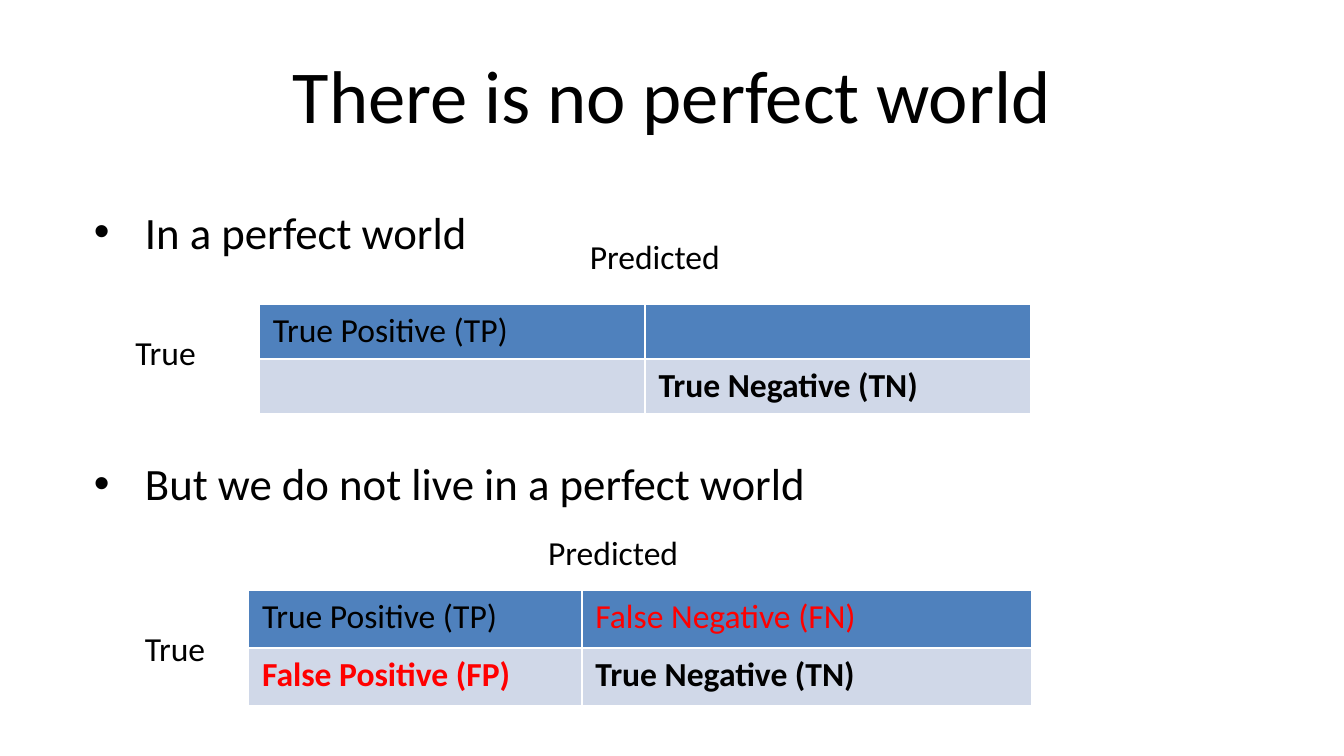
import dataclasses

import pptx
import pptx.dml.color
import pptx.enum.text
import pptx.oxml
import pptx.oxml.ns
import pptx.util
from pptx.util import Inches

RGB = pptx.dml.color.RGBColor.from_string
ALIGN = pptx.enum.text.PP_ALIGN
ANCHOR = pptx.enum.text.MSO_ANCHOR
SLIDE_WIDTH = Inches(10)
SLIDE_HEIGHT = SLIDE_WIDTH * 9 // 16


@dataclasses.dataclass(frozen=True)
class Theme:
    font: str = "Calibri"
    text: str = "000000"
    error: str = "FF0000"
    border: str = "FFFFFF"
    row_fills: tuple = ("4F81BD", "D0D8E8")
    title_size: int = 40
    body_size: int = 24
    label_size: int = 18
    border_width: int = 1


THEME = Theme()


def apply_format(target, values):
    for name, value in values.items():
        setattr(target, name, value)


def write(paragraph, text, size, color=THEME.text, bold=False):
    run = paragraph.add_run()
    run.text = text
    run.font.color.rgb = RGB(color)
    apply_format(run.font, {"name": THEME.font, "size": pptx.util.Pt(size), "bold": bold})


def add_frame(slide, left, top, width, height, **frame_format):
    box = slide.shapes.add_textbox(Inches(left), Inches(top), Inches(width), Inches(height))
    apply_format(box.text_frame, frame_format)
    return box.text_frame


def add_title(slide, text):
    frame = add_frame(slide, 0.5, 0.23, 9, 0.94, word_wrap=True, vertical_anchor=ANCHOR.MIDDLE)
    heading = frame.paragraphs[0]
    heading.alignment = ALIGN.CENTER
    write(heading, text, THEME.title_size)


def add_bullets(slide, statements, gap):
    """Bulleted statements, with a gap in points that leaves room for a table."""
    frame = add_frame(slide, 0.6, 1.47, 8.22, 3.62, word_wrap=True)
    for index, statement in enumerate(statements):
        paragraph = frame.add_paragraph() if index else frame.paragraphs[0]
        properties = paragraph._p.get_or_add_pPr()
        properties.set("marL", str(Inches(0.38)))
        properties.set("indent", str(-Inches(0.38)))
        namespace = pptx.oxml.ns.nsdecls("a")
        for bullet in ('<a:buFont %s typeface="Arial"/>', '<a:buChar %s char="•"/>'):
            properties.append(pptx.oxml.parse_xml(bullet % namespace))
        if index:
            paragraph.space_before = pptx.util.Pt(gap)
        write(paragraph, statement, THEME.body_size)


def add_label(slide, text, left, top, width):
    frame = add_frame(slide, left, top, width, 0.4, word_wrap=False)
    write(frame.paragraphs[0], text, THEME.label_size)


def add_borders(cell):
    properties = cell._tc.get_or_add_tcPr()
    for side in ("lnL", "lnR", "lnT", "lnB"):
        properties.append(pptx.oxml.parse_xml(
            f'<a:{side} {pptx.oxml.ns.nsdecls("a")} w="{pptx.util.Pt(THEME.border_width)}">'
            f'<a:solidFill><a:srgbClr val="{THEME.border}"/></a:solidFill></a:{side}>'))


def add_confusion_matrix(slide, left, top, column_widths, row_height, outcomes):
    """Outcomes are rows of text; false ones are red, and the second row is bold."""
    matrix = slide.shapes.add_table(
        len(outcomes), len(column_widths), Inches(left), Inches(top),
        Inches(sum(column_widths)), Inches(row_height * len(outcomes))).table
    apply_format(matrix, {"first_row": False, "horz_banding": False})
    for column, width in zip(matrix.columns, column_widths):
        column.width = Inches(width)
    for row_index, (row, texts) in enumerate(zip(matrix.rows, outcomes)):
        row.height = Inches(row_height)
        for cell, text in zip(row.cells, texts):
            add_borders(cell)
            cell.fill.solid()
            cell.fill.fore_color.rgb = RGB(THEME.row_fills[row_index])
            if text:
                color = THEME.error if text.startswith("False") else THEME.text
                write(cell.text_frame.paragraphs[0], text, THEME.label_size,
                      color, bold=row_index > 0)


def main():
    presentation = pptx.Presentation()
    apply_format(presentation, {"slide_width": SLIDE_WIDTH, "slide_height": SLIDE_HEIGHT})
    slide = presentation.slides.add_slide(presentation.slide_layouts[6])

    add_title(slide, "There is no perfect world")
    add_bullets(slide, ["In a perfect world", "But we do not live in a perfect world"], gap=106)

    true_positive, true_negative = "True Positive (TP)", "True Negative (TN)"
    add_confusion_matrix(slide, 1.93, 2.26, (2.87, 2.87), 0.41,
                         [(true_positive, ""), ("", true_negative)])
    add_confusion_matrix(slide, 1.85, 4.39, (2.48, 3.35), 0.43,
                         [(true_positive, "False Negative (FN)"),
                          ("False Positive (FP)", true_negative)])

    for left, top in ((4.29, 1.71), (3.98, 3.91)):
        add_label(slide, "Predicted", left, top, 1.19)
    for left, top in ((0.91, 2.42), (0.98, 4.62)):
        add_label(slide, "True", left, top, 0.67)

    presentation.save("out.pptx")


if __name__ == "__main__":
    main()
